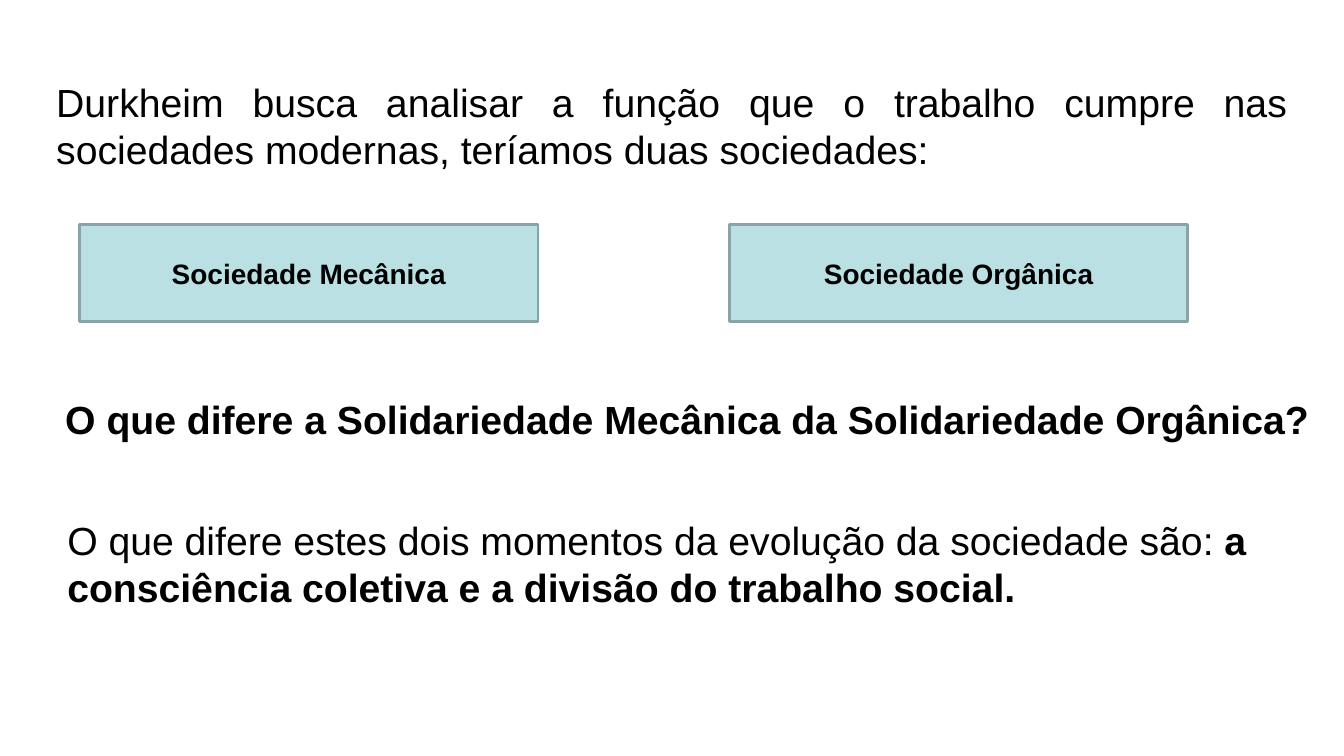
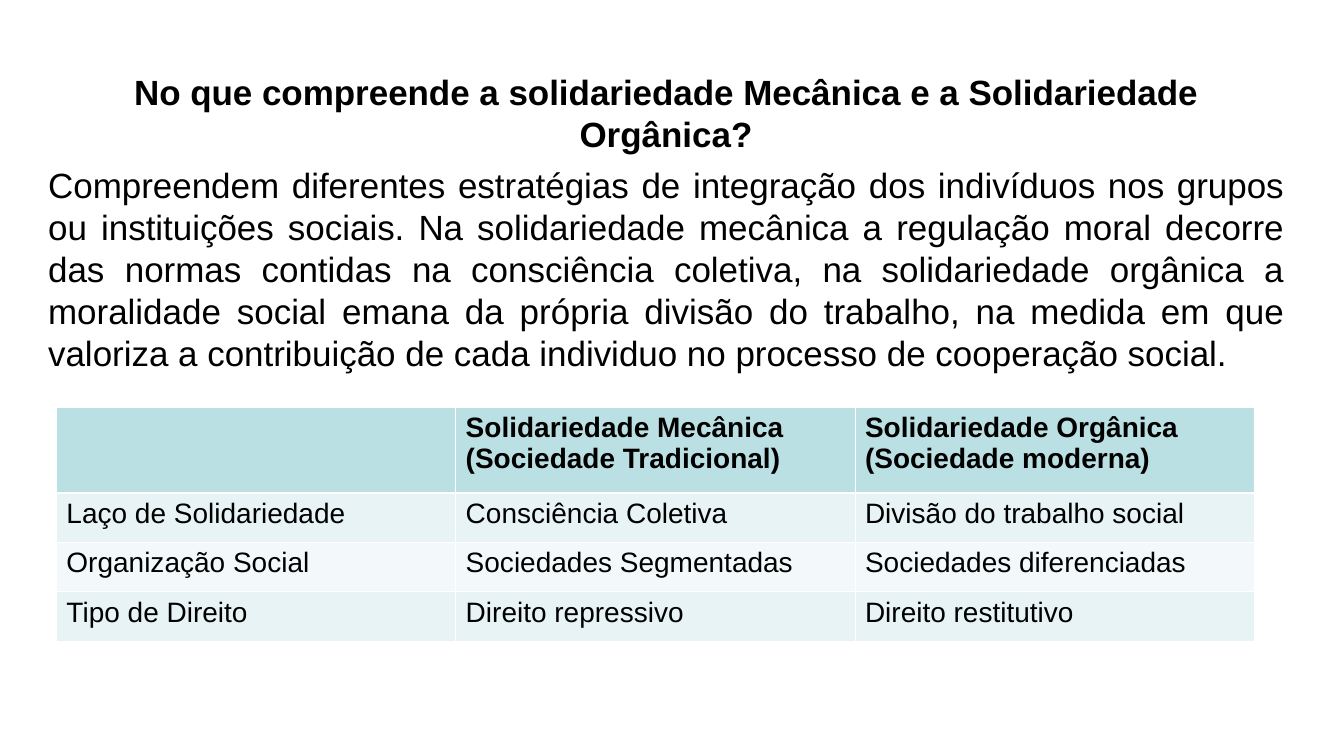
from lxml import etree
from pptx import Presentation
from pptx.dml.color import RGBColor
from pptx.enum import shapes, text
from pptx.oxml.ns import qn
from pptx.util import Inches, Pt

FONT, BLACK, WHITE = "Arial", "000000", "FFFFFF"
TEAL, TEAL_EDGE = "BBE0E3", "89A4A7"
BANDS = ("E7F3F4", "F3F9FA")
LEFT, CENTER, JUSTIFY = text.PP_ALIGN.LEFT, text.PP_ALIGN.CENTER, text.PP_ALIGN.JUSTIFY

# Each paragraph: alignment, runs of (wording, bold)
FUNCTION_OF_WORK = [
    (JUSTIFY, [("Durkheim busca analisar a função que o trabalho cumpre nas sociedades "
                "modernas, teríamos duas sociedades:", False)]),
]
QUESTION = [(CENTER, [("O que difere a Solidariedade Mecânica da Solidariedade Orgânica?", True)])]
ANSWER = [
    (LEFT, [("O que difere estes dois momentos da evolução da sociedade são: ", False),
            ("a consciência coletiva e a divisão do trabalho social.", True)]),
]
SOCIETIES = ["Sociedade Mecânica", "Sociedade Orgânica"]
SOLIDARITY = [
    (CENTER, [("No que compreende a solidariedade Mecânica e a Solidariedade Orgânica?", True)]),
    (JUSTIFY, [("Compreendem diferentes estratégias de integração dos indivíduos nos grupos ou "
                "instituições sociais. Na solidariedade mecânica a regulação moral decorre das "
                "normas contidas na consciência coletiva, na solidariedade orgânica a moralidade "
                "social emana da própria divisão do trabalho, na medida em que valoriza a "
                "contribuição de cada individuo no processo de cooperação social.", False)]),
]
COMPARISON = [
    ["", "Solidariedade Mecânica\n(Sociedade Tradicional)", "Solidariedade Orgânica\n(Sociedade moderna)"],
    ["Laço de Solidariedade", "Consciência Coletiva", "Divisão do trabalho social"],
    ["Organização Social", "Sociedades Segmentadas", "Sociedades diferenciadas"],
    ["Tipo de Direito", "Direito repressivo", "Direito restitutivo"],
]


def rgb(value):
    return RGBColor.from_string(value)


def style(p, size, bold=None, align=LEFT):
    p.alignment = align
    f = p.font
    f.name, f.size, f.bold = FONT, Pt(size), bold
    f.color.rgb = rgb(BLACK)


def add_text(s, box, paragraphs, size, gap=0):
    tf = s.shapes.add_textbox(*map(Inches, box)).text_frame
    tf.word_wrap = True
    for i, (align, runs) in enumerate(paragraphs):
        p = tf.add_paragraph() if i else tf.paragraphs[0]
        style(p, size, align=align)
        if i:
            p.space_before = Pt(gap)
        for words, bold in runs:
            r = p.add_run()
            r.text, r.font.bold = words, bold


def add_society(s, i, name):
    box = (0.79 + i * 6.45, 2.23, 4.55, 0.96)
    sp = s.shapes.add_shape(shapes.MSO_SHAPE.RECTANGLE, *map(Inches, box))
    sp.shadow.inherit = False
    sp.fill.solid()
    sp.fill.fore_color.rgb = rgb(TEAL)
    sp.line.color.rgb = rgb(TEAL_EDGE)
    sp.line.width = Pt(2)
    tf = sp.text_frame
    tf.word_wrap = True
    tf.vertical_anchor = text.MSO_ANCHOR.MIDDLE
    p = tf.paragraphs[0]
    p.text = name
    style(p, 20, True, CENTER)


def add_borders(cell, widths):
    tc_pr = cell._tc.get_or_add_tcPr()
    for i, (side, width) in enumerate(widths.items()):
        ln = etree.Element(qn("a:" + side), w=str(Pt(width)))
        fill = etree.SubElement(ln, qn("a:solidFill"))
        etree.SubElement(fill, qn("a:srgbClr"), val=WHITE)
        tc_pr.insert(i, ln)


def add_comparison(s, rows):
    box = (0.56, 4.04, 11.89, 2.32)
    table = s.shapes.add_table(len(rows), len(rows[0]), *map(Inches, box)).table
    for i, row in enumerate(rows):
        table.rows[i].height = Inches(0.49 if i else 0.85)
        for j, words in enumerate(row):
            cell = table.cell(i, j)
            cell.fill.solid()
            cell.fill.fore_color.rgb = rgb(BANDS[(i - 1) % 2] if i else TEAL)
            add_borders(cell, {"lnL": 0.45, "lnR": 0.45, "lnT": 1.47 if i == 1 else 0.45,
                               "lnB": 0.45 if i else 1.47})
            cell.text_frame.text = words
            for p in cell.text_frame.paragraphs:
                style(p, 20, i == 0)


def main():
    """Build the two slides on mechanical and organic solidarity."""
    prs = Presentation()
    prs.slide_width, prs.slide_height = Inches(13.34), Inches(7.5)
    blank = prs.slide_layouts[6]

    s = prs.slides.add_slide(blank)
    add_text(s, (0.46, 0.73, 12.41, 1.04), FUNCTION_OF_WORK, 28)
    for i, name in enumerate(SOCIETIES):
        add_society(s, i, name)
    add_text(s, (0.46, 3.87, 12.72, 1.05), QUESTION, 28)
    add_text(s, (0.57, 5.07, 12.14, 1.04), ANSWER, 28)

    s = prs.slides.add_slide(blank)
    add_text(s, (0.38, 0.65, 12.46, 5.71), SOLIDARITY, 25, 6.2)
    add_comparison(s, COMPARISON)

    prs.save("out.pptx")


if __name__ == "__main__":
    main()
